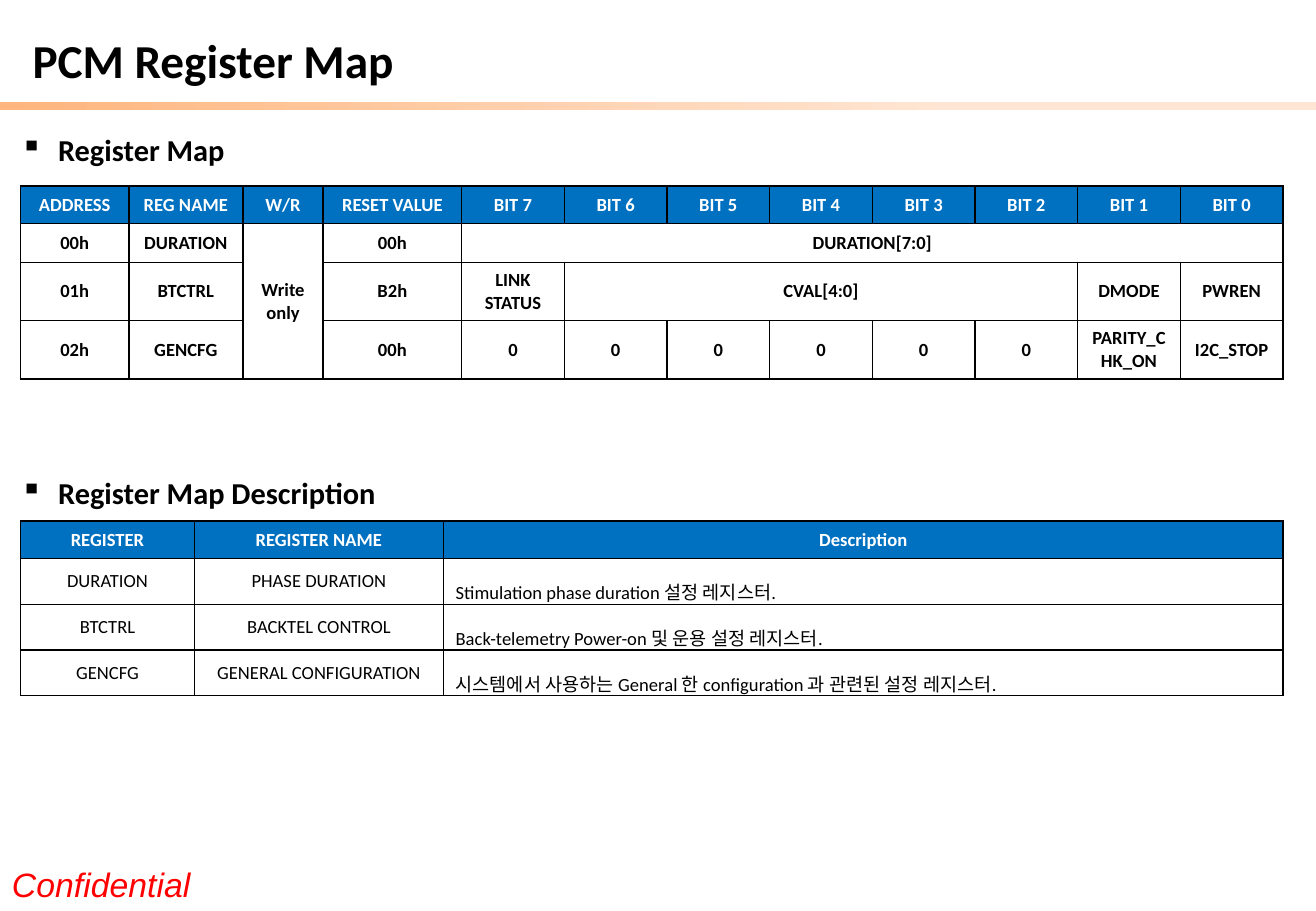
"""Build the PCM register map slide with its two register tables."""
from lxml.etree import SubElement
from pptx import Presentation
from pptx.dml.color import RGBColor
from pptx.enum.shapes import MSO_SHAPE as Shape
from pptx.enum.text import MSO_ANCHOR as Anchor, PP_ALIGN as Align
from pptx.oxml import parse_xml
from pptx.oxml.ns import nsdecls, qn
from pptx.util import Inches, Pt

color = RGBColor.from_string


def style(paragraph, size, ink="000000", bold=True, face="Calibri"):
    font = paragraph.font
    font.name, font.size, font.bold = face, Pt(size), bold
    font.color.rgb = color(ink)


def add_text(text, left, top, width, height, wrap=True):
    frame = slide.shapes.add_textbox(
        Inches(left), Inches(top), Inches(width), Inches(height)).text_frame
    frame.word_wrap = wrap
    frame.vertical_anchor = Anchor.MIDDLE
    frame.text = text
    return frame.paragraphs[0]


deck = Presentation()
deck.slide_width, deck.slide_height = Inches(10.83), Inches(7.5)
slide = deck.slides.add_slide(deck.slide_layouts[6])

rule = slide.shapes.add_shape(
    Shape.RECTANGLE, 0, Inches(0.84), deck.slide_width, Inches(0.07))
rule.shadow.inherit = False
rule.line.fill.background()
rule.fill.gradient()
rule.fill.gradient_angle = 0
for stop, (position, tint) in zip(rule.fill.gradient_stops,
                                  [(0, "FFB57D"), (0.73, "FFE6D4")]):
    stop.position = position
    stop.color.rgb = color(tint)

confidential = add_text("Confidential", 0, 7.06, 1.72, 0.44)
style(confidential, 20, "FF0000", False, "Arial")
confidential.font.italic = True
style(add_text("PCM Register Map", 0.17, 0.15, 7.83, 0.68), 28)

for heading, top, width in [("Register Map", 1.03, 1.9),
                            ("Register Map Description", 3.85, 3.15)]:
    paragraph = add_text(heading, 0.07, top, width, 0.4, wrap=False)
    style(paragraph, 18)
    properties = paragraph._p.get_or_add_pPr()
    properties.set("marL", str(Inches(0.31)))
    properties.set("indent", str(Inches(-0.31)))
    SubElement(properties, qn("a:buChar")).set("char", "▪")

table_width = 10.39
lead_widths = [0.89, 0.94, 0.66, 1.14]
bit_width = (table_width - sum(lead_widths)) / 8
register_rows = [
    ["ADDRESS", "REG NAME", "W/R", "RESET VALUE"]
    + [f"BIT {bit}" for bit in range(7, -1, -1)],
    ["00h", "DURATION", "Write only", "00h", "DURATION[7:0]"] + [""] * 7,
    ["01h", "BTCTRL", "", "B2h", "LINK\nSTATUS", "CVAL[4:0]"] + [""] * 4
    + ["DMODE", "PWREN"],
    ["02h", "GENCFG", "", "00h"] + ["0"] * 6 + ["PARITY_CHK_ON", "I2C_STOP"],
]
description_rows = [
    ["REGISTER", "REGISTER NAME", "Description"],
    ["DURATION", "PHASE DURATION", "Stimulation phase duration 설정 레지스터."],
    ["BTCTRL", "BACKTEL CONTROL", "Back-telemetry Power-on 및 운용 설정 레지스터."],
    ["GENCFG", "GENERAL CONFIGURATION",
     "시스템에서 사용하는 General 한 configuration 과 관련된 설정 레지스터."],
]
register_spans = [((1, 2), (3, 2)), ((1, 4), (1, 11)), ((2, 5), (2, 9))]
tables = [
    (1.53, register_rows, lead_widths + [bit_width] * 8,
     [0.31, 0.32, 0.48, 0.48], register_spans, True),
    (4.29, description_rows, [1.43, 2.05, 6.91],
     [0.31] + [0.37] * 3, [], False),
]

for top, rows, widths, heights, spans, bold_body in tables:
    table = slide.shapes.add_table(
        len(rows), len(widths), Inches(0.17), Inches(top),
        Inches(table_width), Inches(sum(heights))).table
    table.horz_banding = False
    for column, width in zip(table.columns, widths):
        column.width = Inches(width)
    for row, height in zip(table.rows, heights):
        row.height = Inches(height)
    for first, last in spans:
        table.cell(*first).merge(table.cell(*last))

    for r, texts in enumerate(rows):
        header = r == 0
        for c, text in enumerate(texts):
            cell = table.cell(r, c)
            cell.text = text
            cell.vertical_anchor = Anchor.MIDDLE
            cell.fill.solid()
            cell.fill.fore_color.rgb = color("0070C0" if header else "FFFFFF")
            described = rows is description_rows and c == 2 and not header
            for paragraph in cell.text_frame.paragraphs:
                style(paragraph, 11, "FFFFFF" if header else "000000",
                      header or bold_body)
                paragraph.alignment = Align.LEFT if described else Align.CENTER
                if described:
                    paragraph.line_spacing = 1.5
            for position, side in enumerate(["lnL", "lnR", "lnT", "lnB"]):
                cell._tc.get_or_add_tcPr().insert(position, parse_xml(
                    f'<a:{side} {nsdecls("a")} w="{Pt(1)}"><a:solidFill>'
                    f'<a:srgbClr val="000000"/></a:solidFill></a:{side}>'))

deck.save("out.pptx")
